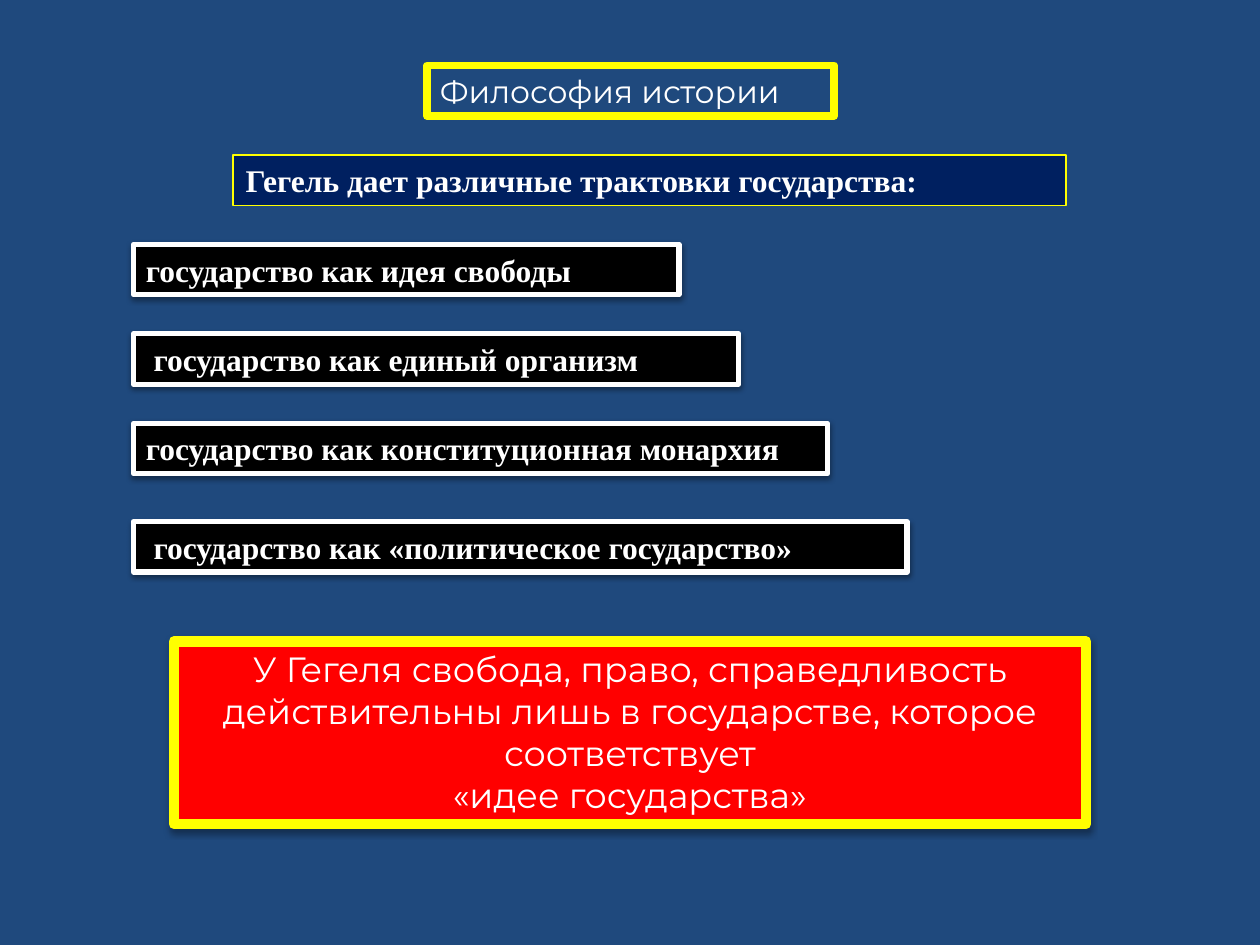
from dataclasses import dataclass

from lxml import etree
from pptx import Presentation
from pptx.dml.color import RGBColor
from pptx.enum.text import MSO_ANCHOR, MSO_AUTO_SIZE, PP_ALIGN
from pptx.oxml.ns import qn
from pptx.util import Inches, Pt

LEFT, CENTER, JUSTIFY = PP_ALIGN.LEFT, PP_ALIGN.CENTER, PP_ALIGN.JUSTIFY
TOP, MIDDLE = MSO_ANCHOR.TOP, MSO_ANCHOR.MIDDLE
FIXED_SIZE = MSO_AUTO_SIZE.NONE


@dataclass(frozen=True)
class Theme:
    background: str = "1F497D"
    navy: str = "002060"
    black: str = "000000"
    red: str = "FF0000"
    yellow: str = "FFFF00"
    white: str = "FFFFFF"
    sans: str = "Montserrat"
    serif: str = "Times New Roman"
    body_size: int = 18
    conclusion_size: int = 20


THEME = Theme()


def write_box(sp, text, box, line, line_width, fill=None, font=THEME.serif,
              size=THEME.body_size, bold=True, align=LEFT, anchor=TOP, indent=0):
    """Place sp at box and set its outline, fill and text; each line of text is a paragraph."""
    sp.left, sp.top, sp.width, sp.height = (Inches(v) for v in box)
    if fill:
        sp.fill.solid()
        sp.fill.fore_color.rgb = RGBColor.from_string(fill)
    sp.line.color.rgb = RGBColor.from_string(line)
    sp.line.width = Pt(line_width)
    tf = sp.text_frame
    tf.text = text
    tf.word_wrap = True
    tf.auto_size = FIXED_SIZE
    tf.vertical_anchor = anchor
    tf.margin_left = Inches(0.1 + indent)
    for p in tf.paragraphs:
        p.alignment = align
        for r in p.runs:
            r.font.name = font
            r.font.size = Pt(size)
            r.font.bold = bold
            r.font.color.rgb = RGBColor.from_string(THEME.white)


def add_shadow(sp, opacity, blur, distance):
    """Cast a black shadow straight down; opacity in percent, lengths in points."""
    effects = etree.SubElement(sp.element.spPr, qn("a:effectLst"))
    shadow = etree.SubElement(effects, qn("a:outerShdw"), blurRad=str(Pt(blur)),
                              dist=str(Pt(distance)), dir="5400000", rotWithShape="0")
    color = etree.SubElement(shadow, qn("a:srgbClr"), val=THEME.black)
    etree.SubElement(color, qn("a:alpha"), val=str(opacity * 1000))


prs = Presentation()
prs.slide_width, prs.slide_height = Inches(10), Inches(7.5)
s = prs.slides.add_slide(prs.slide_layouts[5])
s.background.fill.solid()
s.background.fill.fore_color.rgb = RGBColor.from_string(THEME.background)

write_box(s.shapes.title, "Философия истории", (3.39, 0.52, 3.23, 0.4),
          THEME.yellow, 4.5, font=THEME.sans, bold=False, align=JUSTIFY, anchor=MIDDLE)

heading = s.shapes.add_textbox(0, 0, 0, 0)
write_box(heading, "Гегель дает различные трактовки государства:",
          (1.85, 1.23, 6.61, 0.4), THEME.yellow, 0.75, fill=THEME.navy)

# text, top, width, extra indent
interpretations = [
    ("государство как идея свободы", 1.94, 4.33, 0),
    ("государство как единый организм", 2.65, 4.8, 0.06),
    ("государство как конституционная монархия", 3.36, 5.51, 0),
    ("государство как «политическое государство»", 4.14, 6.14, 0.06),
]
for text, top, width, indent in interpretations:
    sp = s.shapes.add_textbox(0, 0, 0, 0)
    write_box(sp, text, (1.06, top, width, 0.4), THEME.white, 3,
              fill=THEME.black, indent=indent)
    add_shadow(sp, opacity=38, blur=3.1, distance=1.6)

conclusion = s.shapes.add_textbox(0, 0, 0, 0)
write_box(conclusion,
          "У Гегеля свобода, право, справедливость действительны лишь в государстве, "
          "которое соответствует\n«идее государства»",
          (1.38, 5.09, 7.24, 1.45), THEME.yellow, 6, fill=THEME.red, font=THEME.sans,
          size=THEME.conclusion_size, bold=False, align=CENTER)
add_shadow(conclusion, opacity=32, blur=3.5, distance=2.2)

prs.save("out.pptx")
